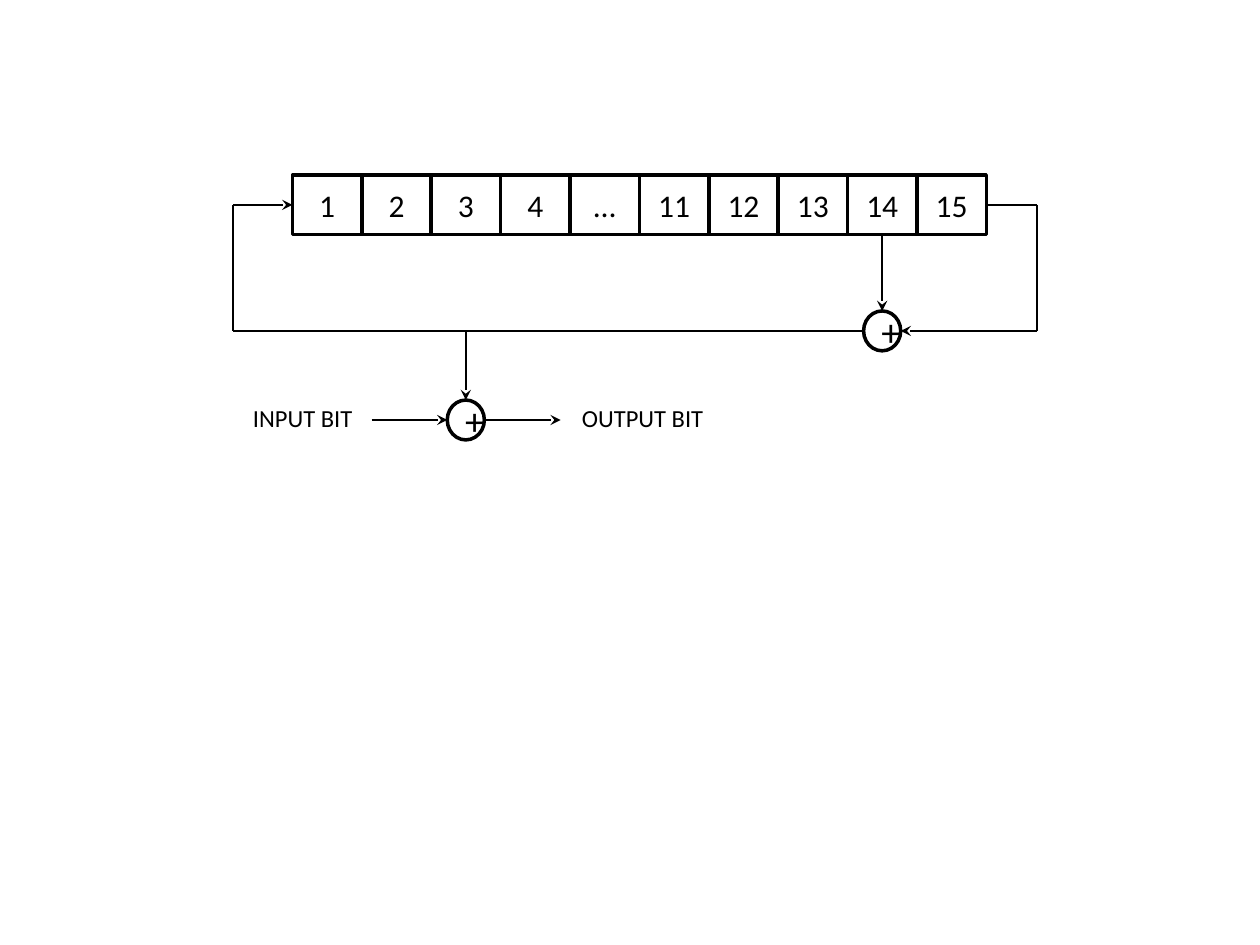
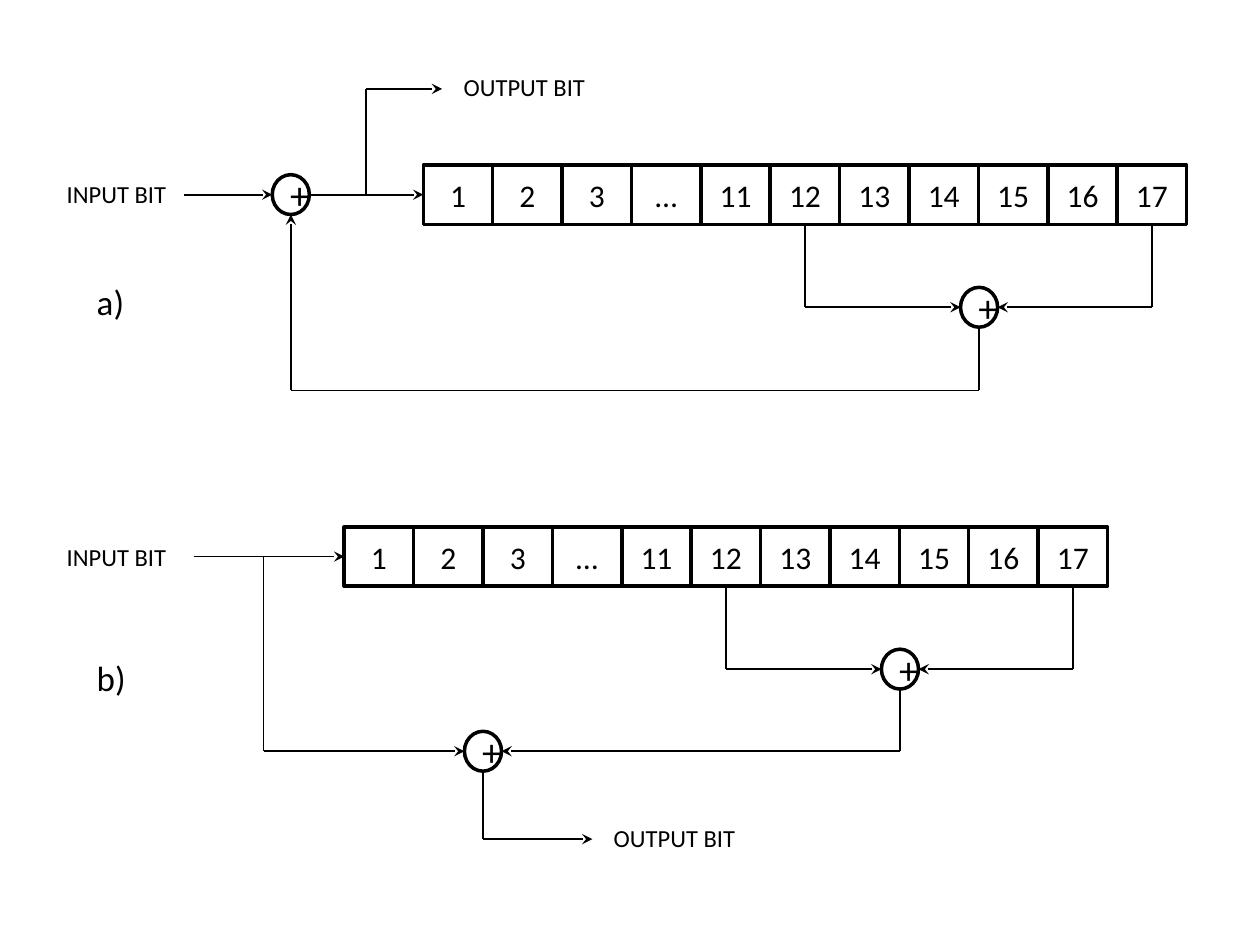
from itertools import pairwise
from typing import Any, NamedTuple

from lxml import etree
from pptx import Presentation
from pptx.dml.color import RGBColor
from pptx.enum.shapes import MSO_CONNECTOR, MSO_SHAPE
from pptx.enum.text import MSO_ANCHOR, MSO_AUTO_SIZE, PP_ALIGN
from pptx.oxml.ns import qn
from pptx.util import Pt

# Shared look
BLACK = RGBColor(0x00, 0x00, 0x00)
WHITE = RGBColor(0xFF, 0xFF, 0xFF)
FONT = "Calibri"
RECT, OVAL = MSO_SHAPE.RECTANGLE, MSO_SHAPE.OVAL
STRAIGHT = MSO_CONNECTOR.STRAIGHT
LEFT_ALIGN, CENTER = PP_ALIGN.LEFT, PP_ALIGN.CENTER
ANCHOR_TOP, ANCHOR_MIDDLE = MSO_ANCHOR.TOP, MSO_ANCHOR.MIDDLE
GROW = MSO_AUTO_SIZE.SHAPE_TO_FIT_TEXT
TOP, LEFT, BOTTOM, RIGHT = range(4)

# Sizes in points
CELL_W, CELL_H = 39.65, 33.9
ADDER_W, ADDER_H = 21.2, 22.8
INPUT_W, OUTPUT_W, LABEL_H = 76.3, 85.7, 24.3
THIN, NORMAL, HEAVY = 0.75, 1, 2

# Register contents
FEEDBACK_STAGES = ["1", "2", "3", "4", "…", "11", "12", "13", "14", "15"]
SCRAMBLER_STAGES = ["1", "2", "3", "…", "11", "12", "13", "14", "15", "16", "17"]


class Stop(NamedTuple):
    """A place on a wire, joined to a rectangle if one is given."""
    x: float
    y: float
    shape: Any = None
    site: int = 0


def side(shape, site):
    """Middle of one side of a cell or adder."""
    left, top = shape.left.pt, shape.top.pt
    width, height = shape.width.pt, shape.height.pt
    dx, dy = [(0.5, 0), (0, 0.5), (0.5, 1), (1, 0.5)][site]
    joined = shape if shape.auto_shape_type == RECT else None
    return Stop(left + dx * width, top + dy * height, joined, site)


def write(shape, text, size=14, align=LEFT_ALIGN, anchor=ANCHOR_TOP):
    frame = shape.text_frame
    frame.word_wrap = True
    frame.vertical_anchor = anchor
    paragraph = frame.paragraphs[0]
    paragraph.alignment = align
    run = paragraph.add_run()
    run.text = text
    run.font.name, run.font.size = FONT, Pt(size)
    run.font.color.rgb = BLACK


def add_node(slide, kind, left, top, width, height, text, size):
    node = slide.shapes.add_shape(kind, Pt(left), Pt(top), Pt(width), Pt(height))
    node.shadow.inherit = False
    node.fill.solid()
    node.fill.fore_color.rgb = WHITE
    node.line.color.rgb = BLACK
    node.line.width = Pt(HEAVY)
    write(node, text, size=size, align=CENTER, anchor=ANCHOR_MIDDLE)
    return node


def add_register(slide, left, top, stages):
    return [add_node(slide, RECT, left + i * CELL_W, top, CELL_W, CELL_H, stage, 18)
            for i, stage in enumerate(stages)]


def add_adder(slide, center_x, center_y):
    return add_node(slide, OVAL, center_x - ADDER_W / 2, center_y - ADDER_H / 2,
                    ADDER_W, ADDER_H, "+", 22)


def add_label(slide, text, left, top, width, height=LABEL_H, size=14):
    label = slide.shapes.add_textbox(Pt(left), Pt(top), Pt(width), Pt(height))
    write(label, text, size=size)
    label.text_frame.auto_size = GROW


def add_input(slide, left, top):
    add_label(slide, "INPUT BIT", left, top, INPUT_W)


def add_output(slide, left, top):
    add_label(slide, "OUTPUT BIT", left, top, OUTPUT_W)


def add_wire(slide, start, end, weight=NORMAL, arrow=False):
    wire = slide.shapes.add_connector(STRAIGHT, Pt(start.x), Pt(start.y),
                                      Pt(end.x), Pt(end.y))
    if start.shape is not None:
        wire.begin_connect(start.shape, start.site)
    if end.shape is not None:
        wire.end_connect(end.shape, end.site)
    wire.line.color.rgb = BLACK
    wire.line.width = Pt(weight)
    if arrow:
        etree.SubElement(wire.line._get_or_add_ln(), qn("a:tailEnd"), type="stealth")
    etree.SubElement(wire._element.spPr, qn("a:effectLst"))


def add_route(slide, *stops, weights=None):
    """Wires through all stops, with an arrowhead at the last."""
    legs = list(pairwise(stops))
    weights = weights or [NORMAL] * len(legs)
    for i, ((start, end), weight) in enumerate(zip(legs, weights), 1):
        add_wire(slide, start, end, weight, arrow=i == len(legs))


def add_tapped_register(slide, left, top):
    """Register whose stages 12 and 17 feed an adder below."""
    cells = add_register(slide, left, top, SCRAMBLER_STAGES)
    adder = add_adder(slide, left + 317.6, top + 81.3)
    for stage, entry in (("12", LEFT), ("17", RIGHT)):
        tap = side(cells[SCRAMBLER_STAGES.index(stage)], BOTTOM)
        target = side(adder, entry)
        add_route(slide, tap, Stop(tap.x, target.y), target)
    return cells, adder


def build_feedback_generator(slide):
    cells = add_register(slide, 167.1, 100.1, FEEDBACK_STAGES)
    tap = side(cells[FEEDBACK_STAGES.index("14")], BOTTOM)
    tap_adder = add_adder(slide, tap.x, 189.1)
    output_adder = add_adder(slide, 266.2, 240)

    # Stages 14 and 15 into the upper adder
    add_route(slide, tap, side(tap_adder, TOP))
    last, entry = side(cells[-1], RIGHT), side(tap_adder, RIGHT)
    add_route(slide, last, Stop(592.6, last.y), Stop(592.6, entry.y), entry,
              weights=[NORMAL, THIN, NORMAL])

    # Feedback to stage 1, with a branch to the lower adder
    first, feedback = side(cells[0], LEFT), side(tap_adder, LEFT)
    add_route(slide, feedback, Stop(133.2, feedback.y), Stop(133.2, first.y), first,
              weights=[THIN, THIN, NORMAL])
    branch = side(output_adder, TOP)
    add_route(slide, Stop(branch.x, feedback.y), branch)

    # Input and output
    add_route(slide, Stop(212.4, 240), side(output_adder, LEFT))
    add_route(slide, side(output_adder, RIGHT), Stop(320.4, 240))
    add_input(slide, 137.5, 226.8)
    add_output(slide, 325.4, 226.8)


def build_scrambler(slide):
    cells, tap_adder = add_tapped_register(slide, 241.9, 94.3)
    first = side(cells[0], LEFT)
    input_adder = add_adder(slide, 166.2, first.y)

    # Input through the adder to stage 1, with a branch to the output
    add_route(slide, Stop(105.1, first.y), side(input_adder, LEFT))
    add_route(slide, side(input_adder, RIGHT), first)
    add_route(slide, Stop(209.2, first.y), Stop(209.2, 50.8), Stop(252.6, 50.8))

    # Feedback
    feedback, entry = side(tap_adder, BOTTOM), side(input_adder, BOTTOM)
    add_route(slide, feedback, Stop(feedback.x, 223), Stop(entry.x, 223), entry,
              weights=[NORMAL, THIN, NORMAL])

    add_input(slide, 31, 98.6)
    add_output(slide, 257.8, 37.7)
    add_label(slide, "a)", 48.2, 157, 34.6, 31.5, size=20)


def build_descrambler(slide):
    cells, tap_adder = add_tapped_register(slide, 196.7, 301.1)
    first = side(cells[0], LEFT)
    output_adder = add_adder(slide, 276, 429.3)

    # Input to stage 1, with a branch to the output adder
    add_route(slide, Stop(110.6, first.y), first)
    direct, summed = side(output_adder, LEFT), side(output_adder, RIGHT)
    add_route(slide, Stop(150.6, first.y), Stop(150.6, direct.y), direct)

    # Tap sum into the output adder, and output
    taps, result = side(tap_adder, BOTTOM), side(output_adder, BOTTOM)
    add_route(slide, taps, Stop(taps.x, summed.y), summed)
    add_route(slide, result, Stop(result.x, 479.5), Stop(338.5, 479.5))

    add_input(slide, 31, 306.3)
    add_output(slide, 343.6, 466.6)
    add_label(slide, "b)", 48.2, 371.8, 34.6, 31.5, size=20)


def main():
    deck = Presentation()
    deck.slide_width, deck.slide_height = Pt(720), Pt(540)
    blank = deck.slide_layouts[6]

    build_feedback_generator(deck.slides.add_slide(blank))

    pair = deck.slides.add_slide(blank)
    build_scrambler(pair)
    build_descrambler(pair)

    deck.save("out.pptx")


if __name__ == "__main__":
    main()
